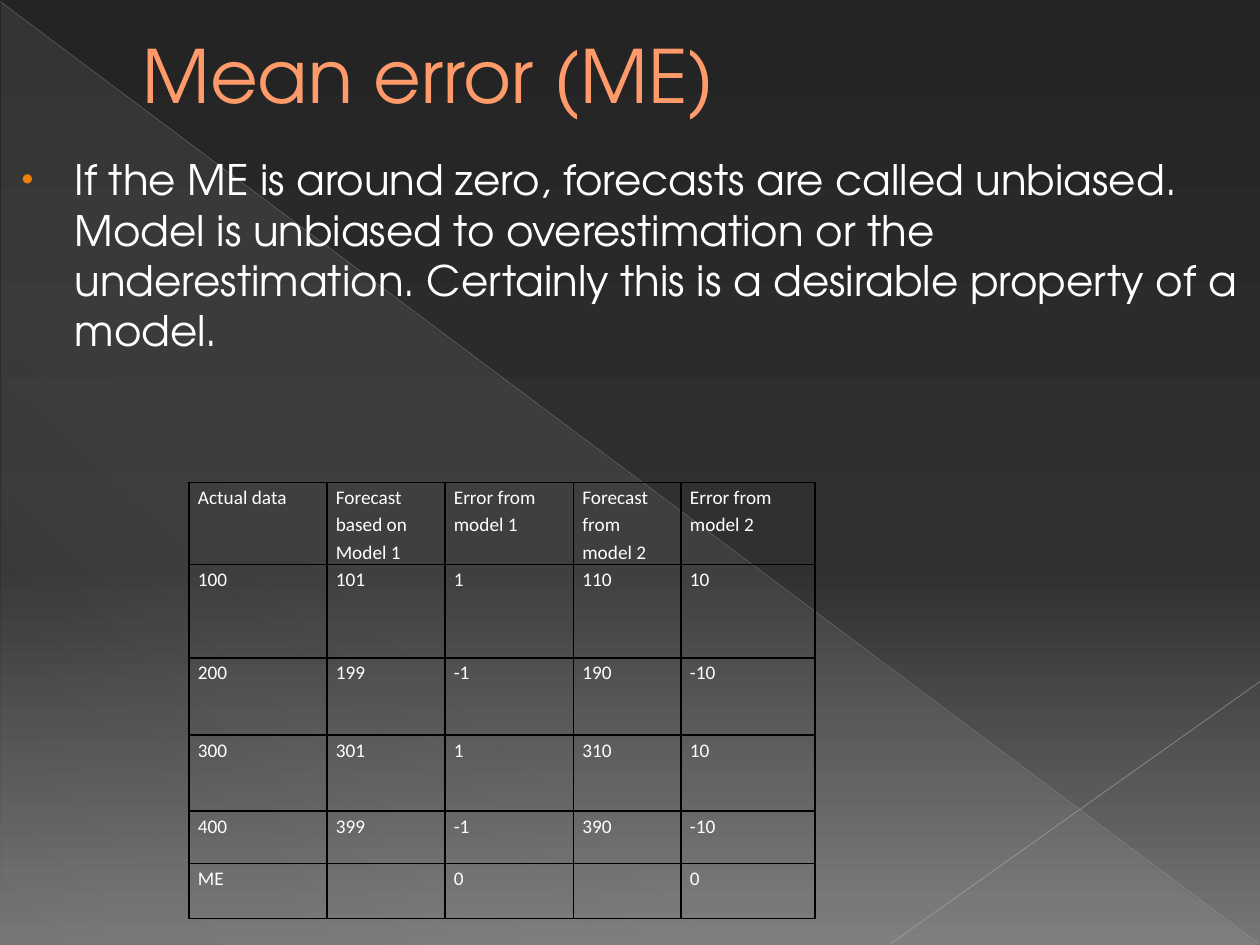
from dataclasses import dataclass

from lxml import etree
from pptx import Presentation
from pptx.dml.color import RGBColor
from pptx.enum.shapes import MSO_CONNECTOR, MSO_SHAPE
from pptx.enum.text import MSO_ANCHOR, MSO_AUTO_SIZE, PP_ALIGN
from pptx.oxml import parse_xml
from pptx.oxml.ns import qn
from pptx.util import Cm, Pt

TRIANGLE = MSO_SHAPE.RIGHT_TRIANGLE
STRAIGHT = MSO_CONNECTOR.STRAIGHT
TOP, MIDDLE = MSO_ANCHOR.TOP, MSO_ANCHOR.MIDDLE
LEFT = PP_ALIGN.LEFT
NO_FIT = MSO_AUTO_SIZE.NONE
NAMESPACE = 'xmlns:a="http://schemas.openxmlformats.org/drawingml/2006/main"'


@dataclass
class Theme:
    heading_font: str = "TeX Gyre Adventor"
    table_font: str = "Calibri"
    title_size: float = 42
    body_size: float = 24
    table_size: float = 11
    title: str = "FF9B6A"
    title_outline: str = "A65806"
    text: str = "FFFFFF"
    bullet: str = "F07F09"
    border: str = "000000"
    long_line: str = "B6B6B6"
    short_line: str = "BFBFBF"
    # Gradient stops: position, colour, opacity (all in percent)
    backdrop: tuple = ((0, "242424", 100), (60, "303030", 100), (100, "767676", 100))
    veil: tuple = ((0, "E3DED1", 10), (70, "E3DED1", 8), (100, "E3DED1", 1))


def color_xml(color, opacity=100):
    return f'<a:srgbClr val="{color}"><a:alpha val="{opacity * 1000}"/></a:srgbClr>'


def line_xml(tag, color, points):
    return parse_xml(f'<a:{tag} {NAMESPACE} w="{Pt(points)}"><a:solidFill>'
                     f'{color_xml(color)}</a:solidFill></a:{tag}>')


class SlideBuilder:
    def __init__(self, page, theme):
        self.page = page
        self.theme = theme
        self.front = page.shapes.title.element

    def gradient(self, fill, owner, stops, angle):
        fill.gradient()
        old = next(owner.iter(qn("a:gradFill")))
        marks = "".join(f'<a:gs pos="{position * 1000}">{color_xml(color, opacity)}</a:gs>'
                        for position, color, opacity in stops)
        new = parse_xml(f'<a:gradFill {NAMESPACE} rotWithShape="1"><a:gsLst>{marks}</a:gsLst>'
                        f'<a:lin ang="{angle * 60000}" scaled="0"/></a:gradFill>')
        old.getparent().replace(old, new)

    def background(self):
        self.gradient(self.page.background.fill, self.page.element, self.theme.backdrop, 90)

    def triangle(self, left, top, width, height):
        shape = self.page.shapes.add_shape(TRIANGLE, Cm(left), Cm(top), Cm(width), Cm(height))
        shape.shadow.inherit = False
        shape.line.fill.background()
        self.gradient(shape.fill, shape.element, self.theme.veil, 133)
        self.front.addprevious(shape.element)

    def line(self, start, end, color, points, opacity):
        line = self.page.shapes.add_connector(STRAIGHT, *map(Cm, start + end))
        line.line.width = Pt(points)
        line.line.color.rgb = RGBColor.from_string(color)
        swatch = next(line.element.spPr.iter(qn("a:srgbClr")))
        etree.SubElement(swatch, qn("a:alpha")).set("val", str(opacity * 1000))
        etree.SubElement(line.element.spPr, qn("a:effectLst"))
        self.front.addprevious(line.element)

    def style(self, para, font, size, color):
        for span in para.runs:
            span.font.name = font
            span.font.size = Pt(size)
            span.font.color.rgb = RGBColor.from_string(color)

    def fill_placeholder(self, box, text, area, anchor, size, color, margin, indent):
        box.left, box.top, box.width, box.height = map(Cm, area)
        frame = box.text_frame
        frame.text = text
        frame.word_wrap = True
        frame.auto_size = NO_FIT
        frame.vertical_anchor = anchor
        para = frame.paragraphs[0]
        para.alignment = LEFT
        self.style(para, self.theme.heading_font, size, color)
        properties = para._p.get_or_add_pPr()
        properties.set("marL", str(Cm(margin)))
        properties.set("indent", str(Cm(indent)))
        return para

    def title(self, text, area):
        para = self.fill_placeholder(self.page.shapes.title, text, area, MIDDLE,
                                     self.theme.title_size, self.theme.title, 1.35, 0)
        outline = line_xml("ln", self.theme.title_outline, 0.5)
        para.runs[0].font._element.insert(0, outline)

    def bullet(self, text, area):
        para = self.fill_placeholder(self.page.placeholders[1], text, area, TOP,
                                     self.theme.body_size, self.theme.text, 1.25, -1.07)
        properties = para._p.get_or_add_pPr()
        for mark in (f'<a:buClr {NAMESPACE}>{color_xml(self.theme.bullet)}</a:buClr>',
                     f'<a:buSzPct {NAMESPACE} val="80000"/>',
                     f'<a:buFont {NAMESPACE} typeface="Arial"/>',
                     f'<a:buChar {NAMESPACE} char="•"/>'):
            properties.append(parse_xml(mark))

    def table(self, rows, left, top, widths, heights):
        table = self.page.shapes.add_table(len(rows), len(widths), Cm(left), Cm(top),
                                           Cm(sum(widths)), Cm(sum(heights))).table
        table.first_row = table.horz_banding = False
        for column, width in zip(table.columns, widths):
            column.width = Cm(width)
        for row, height, texts in zip(table.rows, heights, rows):
            row.height = Cm(height)
            for cell, text in zip(row.cells, texts):
                self.cell(cell, text)

    def cell(self, cell, text):
        cell.margin_left = cell.margin_right = Cm(0.18)
        cell.margin_top = cell.margin_bottom = 0
        properties = cell._tc.get_or_add_tcPr()
        for side in ("lnL", "lnR", "lnT", "lnB"):
            properties.append(line_xml(side, self.theme.border, 1))
        cell.fill.background()
        if text:
            cell.text_frame.text = text
            para = cell.text_frame.paragraphs[0]
            para.line_spacing = 1.15
            para.space_after = Pt(10)
            self.style(para, self.theme.table_font, self.theme.table_size, self.theme.text)


deck = Presentation()
deck.slide_width, deck.slide_height = Cm(25.4), Cm(19.05)
theme = Theme()
slide = SlideBuilder(deck.slides.add_slide(deck.slide_layouts[1]), theme)

# Backdrop
slide.background()
slide.triangle(0.03, 0.05, 25.35, 19)
slide.line((0, 0.03), (25.37, 19.02), theme.long_line, 0.39, 35)
slide.line((25.4, 13.74), (17.96, 19.02), theme.short_line, 0.47, 45)

# Title and statement
slide.title("Mean error (ME)", (1.27, 0, 22.86, 2.97))
slide.bullet("If the ME is around zero, forecasts are called unbiased. Model is unbiased to "
             "overestimation or the underestimation. Certainly this is a desirable property "
             "of a model.", (0, 2.97, 25.4, 16.08))

# Comparison of the two models
header = ("Actual data", "Forecast based on Model 1", "Error from model 1",
          "Forecast from model 2", "Error from model 2")
forecasts = ((100, 101, 110), (200, 199, 190), (300, 301, 310), (400, 399, 390))
body = [tuple(map(str, (actual, first, first - actual, second, second - actual)))
        for actual, first, second in forecasts]
slide.table([header, *body, ("ME", "", "0", "", "0")], 3.81, 9.73,
            (2.78, 2.38, 2.59, 2.17, 2.7), (1.24, 1.88, 1.56, 1.53, 1.06, 1.1))

deck.save("out.pptx")
